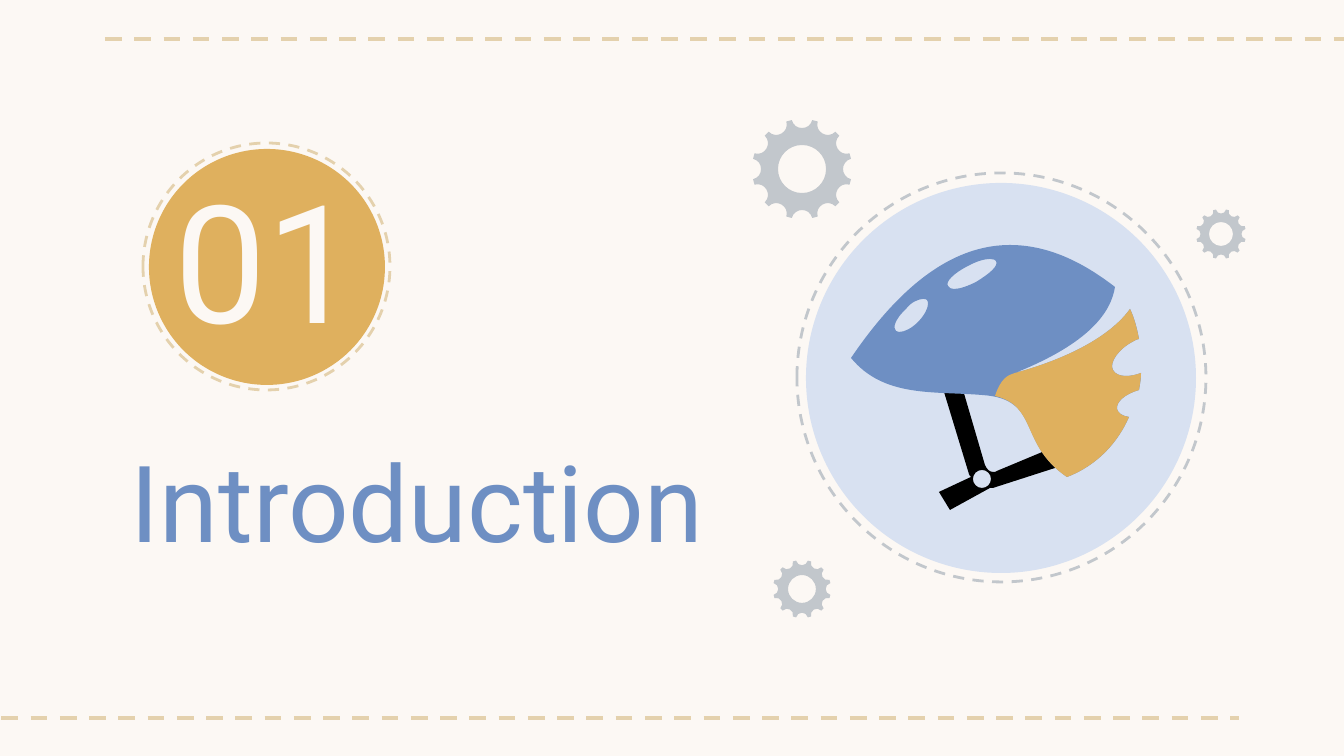
import math

from lxml import etree
from pptx import Presentation
from pptx.dml.color import RGBColor
from pptx.enum.dml import MSO_LINE
from pptx.enum.shapes import MSO_CONNECTOR, MSO_SHAPE
from pptx.enum.text import MSO_ANCHOR, PP_ALIGN
from pptx.oxml.ns import qn
from pptx.util import Pt

EMU_PER_PX = 914400 / 134.4
DASH = MSO_LINE.DASH
ELLIPSE = MSO_SHAPE.OVAL
STRAIGHT = MSO_CONNECTOR.STRAIGHT
TOP, MIDDLE = MSO_ANCHOR.TOP, MSO_ANCHOR.MIDDLE
LEFT, CENTER = PP_ALIGN.LEFT, PP_ALIGN.CENTER

FONT = "Roboto"
CREAM, SAND, GOLD = "FCF8F4", "E4D1AD", "DFB05E"
BLUE, PALE_BLUE, GREY, BLACK = "6E8FC3", "D8E1F1", "C2C7CC", "000000"

TEETH = 12

# Outlines: a start point, then segments of one end point (a straight line)
# or two control points and an end point (a Bézier curve).
BACK_START = (1130, 309)
BACK_EDGE = [
    (1134, 317, 1137, 328, 1139, 339), (1137, 339, 1136, 340, 1134, 341),
    (1118, 349, 1109, 363, 1113, 370), (1115, 374, 1120, 376, 1126, 376),
    (1130, 376, 1136, 375, 1141, 373), (1141, 379, 1140, 384, 1139, 390),
    (1125, 394, 1116, 402, 1117, 409), (1118, 413, 1122, 416, 1129, 417),
    (1118, 442, 1098, 465, 1067, 477),
]
BACK_CLOSE = (1056, 362, 1107, 341, 1130, 309)
SHELL = [
    BACK_START, *BACK_EDGE,
    (1016, 442, 1042, 399, 982, 395), (934, 391, 884, 398, 851, 358),
    (910, 271, 964, 245, 1010, 245), (1053, 245, 1089, 267, 1115, 287),
    (1111, 312, 1090, 343, 1015, 373), BACK_CLOSE,
]
BACK = [
    BACK_START, *BACK_EDGE,
    (1020, 445, 1038, 406, 995, 396), (1001, 378, 1008, 375, 1015, 373),
    BACK_CLOSE,
]
LARGE_VENT = [
    (990, 259), (985, 259, 977, 261, 968, 266),
    (954, 273, 945, 282, 948, 286), (949, 288, 951, 289, 954, 289),
    (960, 289, 968, 286, 976, 282), (989, 274, 999, 266, 996, 261),
    (996, 260, 993, 259, 990, 259),
]
SMALL_VENT = [
    (923, 299), (919, 299, 911, 302, 906, 309),
    (896, 318, 892, 328, 896, 331), (897, 332, 898, 332, 899, 332),
    (905, 332, 912, 328, 918, 322), (926, 314, 930, 304, 927, 300),
    (926, 299, 925, 299, 923, 299),
]
STRAP = [
    (934, 359), (954, 359), (985, 465),
    (987, 469, 989, 472, 993, 472), (995, 472, 996, 472, 997, 471),
    (1076, 438), (1078, 441, 1078, 457, 1080, 460),
    (993, 488), (992, 488, 991, 488, 990, 488),
    (950, 510), (939, 492), (971, 477), (970, 476, 969, 475, 969, 474),
]


def px(length):
    return round(length * EMU_PER_PX)


def color(hex_code):
    return RGBColor.from_string(hex_code)


def set_dash(line, hex_code, width):
    line.color.rgb = color(hex_code)
    line.width = Pt(width)
    line.dash_style = DASH


def set_solid(shape, hex_code):
    shape.shadow.inherit = False
    shape.fill.solid()
    shape.fill.fore_color.rgb = color(hex_code)
    shape.line.fill.background()


def add_dashed_line(page, left, right, y):
    line = page.shapes.add_connector(STRAIGHT, px(left), px(y), px(right), px(y))
    set_dash(line.line, SAND, 2.25)
    etree.SubElement(line._element.spPr, qn("a:effectLst"))


def add_circle(page, left, top, size):
    return page.shapes.add_shape(ELLIPSE, px(left), px(top), px(size), px(size))


def add_disc(page, left, top, size, fill):
    set_solid(add_circle(page, left, top, size), fill)


def add_ring(page, left, top, size, stroke):
    ring = add_circle(page, left, top, size)
    ring.shadow.inherit = False
    ring.fill.background()
    set_dash(ring.line, stroke, 1.5)


def add_text(page, text, left, top, width, height, size, hex_code, align, anchor):
    box = page.shapes.add_textbox(px(left), px(top), px(width), px(height))
    frame = box.text_frame
    frame.word_wrap = True
    frame.vertical_anchor = anchor
    frame.margin_left = frame.margin_right = px(13)
    frame.margin_top = frame.margin_bottom = px(13)
    frame.text = text
    para = frame.paragraphs[0]
    para.alignment = align
    font = para.runs[0].font
    font.name = FONT
    font.size = Pt(size)
    font.color.rgb = color(hex_code)


def polar(x, y, radius, degrees):
    angle = math.radians(degrees)
    return x + radius * math.cos(angle), y + radius * math.sin(angle)


def arc(x, y, radius, start, sweep):
    """Return the start point of an arc and the Bézier segment along it."""
    reach = 4 / 3 * math.tan(math.radians(sweep) / 4) * radius
    first = polar(x, y, radius, start)
    last = polar(x, y, radius, start + sweep)
    leave = polar(*first, reach, start + 90)
    arrive = polar(*last, reach, start + sweep - 90)
    return first, (*leave, *arrive, *last)


def circle_outline(x, y, radius):
    quarters = [arc(x, y, radius, start, 90) for start in range(0, 360, 90)]
    return [quarters[0][0], *(curve for _, curve in quarters)]


def bend_lines(shape, segments):
    """Add the control points that turn straight segments into curves."""
    lines = list(shape._element.iter(qn("a:lnTo")))
    for line, segment in zip(lines, segments):
        if len(segment) == 2:
            continue
        line.tag = qn("a:cubicBezTo")
        for index in (0, 1):
            x, y = segment[2 * index:2 * index + 2]
            point = etree.Element(qn("a:pt"), x=str(px(x) - shape.left),
                                  y=str(px(y) - shape.top))
            line.insert(index, point)


def add_freeform(page, outlines, fill):
    """Draw closed outlines as one shape; inner outlines become holes."""
    builder = None
    for outline in outlines:
        start, *ends = [(px(segment[-2]), px(segment[-1])) for segment in outline]
        if builder is None:
            builder = page.shapes.build_freeform(*start)
        else:
            builder.move_to(*start)
        builder.add_line_segments(ends, close=True)
    shape = builder.convert_to_shape()
    bend_lines(shape, [segment for outline in outlines for segment in outline[1:]])
    set_solid(shape, fill)


def add_gear(page, x, y, radius):
    """Cut round notches into the rim, one between each pair of teeth."""
    rim = []
    for tooth in range(TEETH):
        direction = tooth * 360 / TEETH
        notch = polar(x, y, 1.03 * radius, direction)
        rim += arc(*notch, 0.21 * radius, direction + 256, -152)
    add_freeform(page, [rim, circle_outline(x, y, 0.48 * radius)], GREY)


def main():
    deck = Presentation()
    deck.slide_width, deck.slide_height = px(1344), px(756)
    page = deck.slides.add_slide(deck.slide_layouts[6])
    page.background.fill.solid()
    page.background.fill.fore_color.rgb = color(CREAM)

    add_dashed_line(page, 105, 1372, 39)
    add_dashed_line(page, -28, 1239, 718)
    add_ring(page, 143, 143, 247, SAND)
    add_disc(page, 149, 149, 236, GOLD)
    add_ring(page, 797, 173, 409, GREY)
    add_disc(page, 806, 183, 390, PALE_BLUE)
    add_text(page, "Introduction", 118, 423, 690, 124, 57, BLUE, LEFT, TOP)
    add_text(page, "01", 134, 125, 265, 266, 88, CREAM, CENTER, MIDDLE)
    add_freeform(page, [STRAP, circle_outline(982, 479, 9)], BLACK)
    add_freeform(page, [SHELL, LARGE_VENT, SMALL_VENT], BLUE)
    add_freeform(page, [BACK], GOLD)
    for x, y, radius in ((802, 169, 50), (1221, 234, 25), (802, 589, 29)):
        add_gear(page, x, y, radius)

    deck.save("out.pptx")


if __name__ == "__main__":
    main()
